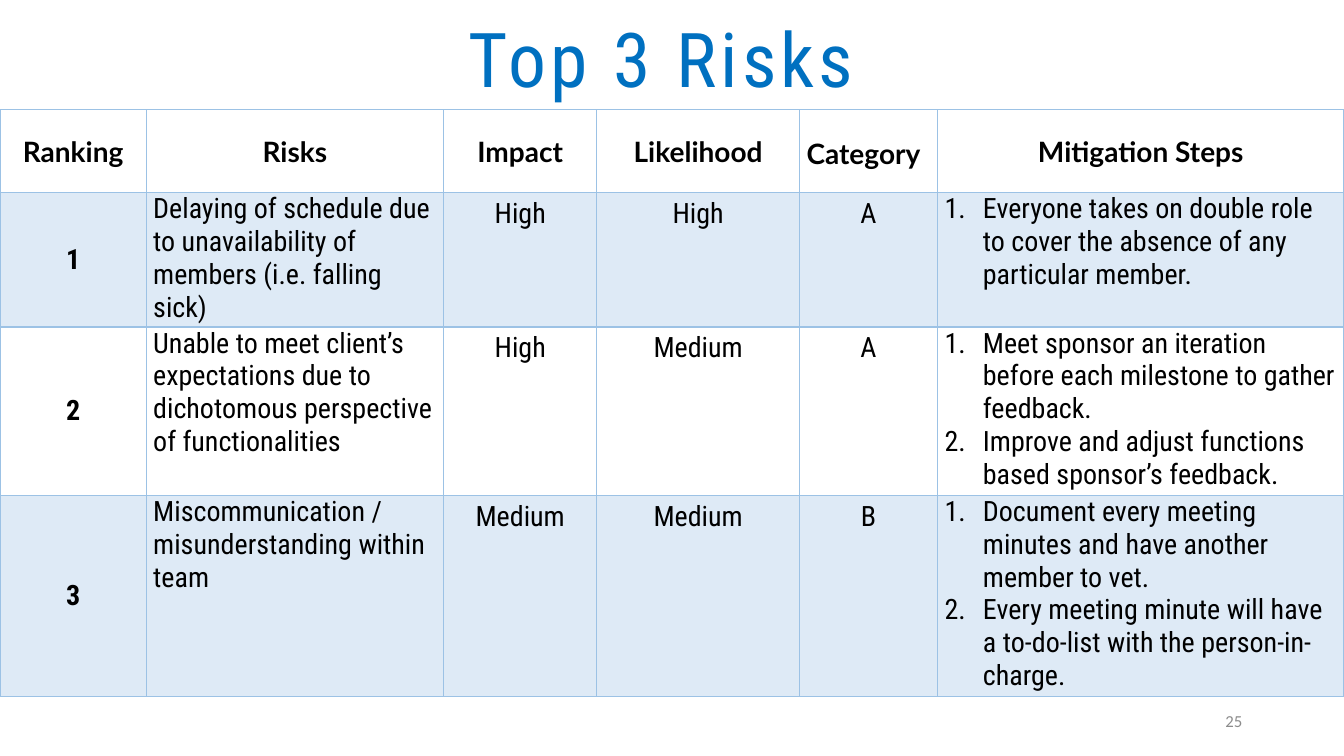
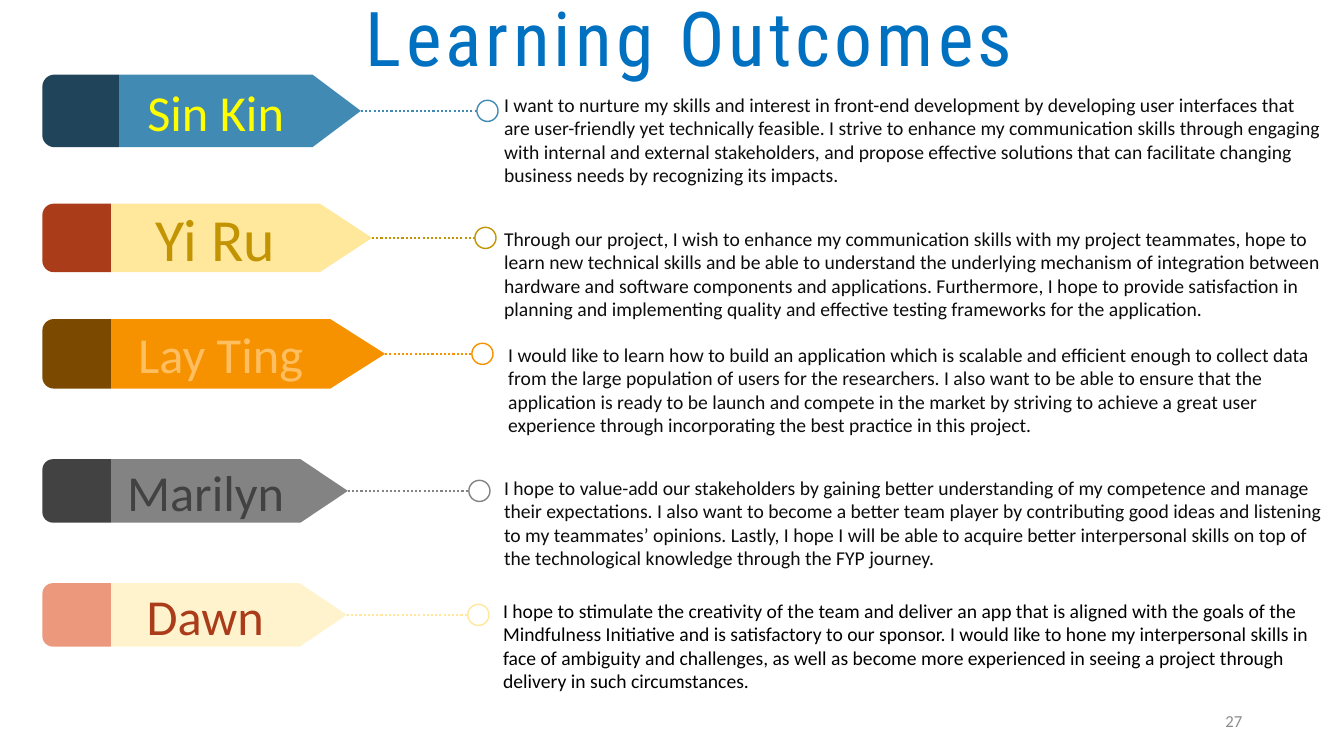
from dataclasses import dataclass
from typing import Optional

from lxml import etree
from pptx import Presentation
from pptx import util as u
from pptx.dml.color import RGBColor
from pptx.enum import dml, shapes, text
from pptx.oxml import ns

COLORS = {
    "title": "0070C0", "number": "8C8C8C", "black": "000000", "body": "0D0D0D",
    "white": "FFFFFF", "border": "9CC2E5", "band": "DEEAF6",
    "blue": "418AB3", "navy": "20455A", "yellow": "FFFF00",
    "sand": "FFE79B", "rust": "AB3C19", "gold": "C29401",
    "orange": "F69200", "brown": "7B4900", "apricot": "FFBF61",
    "grey": "838383", "charcoal": "424242", "cream": "FFF3CD", "salmon": "EC987D",
}
TITLE_FONT, HEAD_FONT, BODY_FONT = "Roboto Condensed", "Lato", "Calibri"
ALIGN, ANCHOR, SHAPE = text.PP_ALIGN, text.MSO_ANCHOR, shapes.MSO_SHAPE


# ---- Shared parts ----
@dataclass
class Style:
    size: float
    font: str
    color: str
    bold: bool = False
    align: ALIGN = ALIGN.LEFT
    spacing: Optional[float] = None
    tracking: Optional[int] = None


TITLE = Style(54, TITLE_FONT, "title", align=ALIGN.CENTER, spacing=0.9, tracking=300)
NUMBER = Style(12, BODY_FONT, "number", align=ALIGN.RIGHT)


def rgb(name: str) -> RGBColor:
    return RGBColor.from_string(COLORS[name])


def write(paragraph, words: str, style: Style) -> None:
    paragraph.alignment = style.align
    if style.spacing:
        paragraph.line_spacing = style.spacing
    run = paragraph.add_run()
    run.text = words
    run.font.size = u.Pt(style.size)
    run.font.name = style.font
    run.font.bold = style.bold
    run.font.color.rgb = rgb(style.color)
    if style.tracking:
        run.font._element.set("spc", str(style.tracking))


def add_label(slide, box: tuple, words: str, style: Style,
              anchor: ANCHOR = ANCHOR.TOP, inset: Optional[float] = None) -> None:
    frame = slide.shapes.add_textbox(*map(u.Inches, box)).text_frame
    frame.word_wrap = True
    frame.vertical_anchor = anchor
    if inset is not None:
        frame.margin_left = frame.margin_right = u.Inches(inset)
        frame.margin_top = frame.margin_bottom = u.Inches(inset)
    write(frame.paragraphs[0], words, style)


def add_page(deck, title: str, box: tuple, anchor: ANCHOR, number: int):
    slide = deck.slides.add_slide(deck.slide_layouts[6])
    add_label(slide, box, title, TITLE, anchor)
    add_label(slide, (9.42, 6.95, 3, 0.4), str(number), NUMBER, ANCHOR.MIDDLE)
    return slide


# ---- Risk table ----
@dataclass
class Risk:
    risk: str
    impact: str
    likelihood: str
    category: str
    steps: list[str]


HEADINGS = ["Ranking", "Risks", "Impact", "Likelihood", "Category", "Mitigation Steps"]
COLUMN_WIDTHS = [1.45, 2.95, 1.52, 2.01, 1.37, 4.03]
ROW_HEIGHTS = [0.82, 1.07, 1.42, 1.42]
RISKS = [
    Risk("Delaying of schedule due to unavailability of members (i.e. falling sick)",
         "High", "High", "A",
         ["Everyone takes on double role to cover the absence of any particular member."]),
    Risk("Unable to meet client’s expectations due to dichotomous perspective of functionalities",
         "High", "Medium", "A",
         ["Meet sponsor an iteration before each milestone to gather feedback.",
          "Improve and adjust functions based sponsor’s feedback."]),
    Risk("Miscommunication / misunderstanding within team",
         "Medium", "Medium", "B",
         ["Document every meeting minutes and have another member to vet.",
          "Every meeting minute will have a to-do-list with the person-in-charge."]),
]
HEADING = Style(20, HEAD_FONT, "black", True, ALIGN.CENTER)
CATEGORY_HEADING = Style(20, HEAD_FONT, "black", True, spacing=1.15)
RANK = Style(20, TITLE_FONT, "black", True, ALIGN.CENTER)
PROSE = Style(20, TITLE_FONT, "black")
RATING = Style(20, TITLE_FONT, "black", align=ALIGN.CENTER, spacing=1.15)


def add_borders(cell, top: float, bottom: float) -> None:
    properties = cell._tc.get_or_add_tcPr()
    for side, width in (("L", 1), ("R", 1), ("T", top), ("B", bottom)):
        edge = etree.SubElement(properties, ns.qn(f"a:ln{side}"), w=str(u.Pt(width)))
        fill = etree.SubElement(edge, ns.qn("a:solidFill"))
        etree.SubElement(fill, ns.qn("a:srgbClr"), val=COLORS["border"])


def number_paragraph(paragraph) -> None:
    properties = paragraph._p.get_or_add_pPr()
    properties.set("marL", str(u.Inches(0.38)))
    properties.set("indent", str(u.Inches(-0.38)))
    etree.SubElement(properties, ns.qn("a:buAutoNum"), type="arabicPeriod")


def fill_cell(cell, lines: list[str], style: Style, row: int,
              middle: bool, numbered: bool) -> None:
    add_borders(cell, 1.5 if row == 1 else 1, 1.5 if row == 0 else 1)
    cell.fill.solid()
    cell.fill.fore_color.rgb = rgb("band" if row % 2 else "white")
    cell.margin_left = cell.margin_right = u.Inches(0.07)
    cell.margin_top = cell.margin_bottom = 0
    cell.vertical_anchor = ANCHOR.MIDDLE if middle else ANCHOR.TOP
    frame = cell.text_frame
    for index, line in enumerate(lines):
        paragraph = frame.add_paragraph() if index else frame.paragraphs[0]
        if numbered:
            number_paragraph(paragraph)
        write(paragraph, line, style)


def add_risk_table(slide) -> None:
    table = slide.shapes.add_table(
        len(ROW_HEIGHTS), len(COLUMN_WIDTHS), 0, u.Inches(1.09),
        u.Inches(sum(COLUMN_WIDTHS)), u.Inches(sum(ROW_HEIGHTS))).table
    table.first_row = table.horz_banding = False
    for column, width in zip(table.columns, COLUMN_WIDTHS):
        column.width = u.Inches(width)
    for row, height in zip(table.rows, ROW_HEIGHTS):
        row.height = u.Inches(height)

    for column, heading in enumerate(HEADINGS):
        style = CATEGORY_HEADING if heading == "Category" else HEADING
        fill_cell(table.cell(0, column), [heading], style, 0, True, False)
    styles = [RANK, PROSE, RATING, RATING, RATING, PROSE]
    for rank, risk in enumerate(RISKS, 1):
        entries = [[str(rank)], [risk.risk], [risk.impact], [risk.likelihood],
                   [risk.category], risk.steps]
        for column, (lines, style) in enumerate(zip(entries, styles)):
            fill_cell(table.cell(rank, column), lines, style, rank,
                      column == 0, column == 5)


# ---- Learning outcomes ----
@dataclass
class Member:
    name: str
    outcome: str
    outcome_box: tuple
    middle: float
    height: float
    tip: float
    ring: float
    cap_color: str
    arrow_color: str
    name_color: str
    line_color: str
    joint: float = 1.1
    name_size: float = 36
    outcome_color: str = "body"


CAP_LEFT, RING_SIZE = 0.42, 0.21
MEMBERS = [
    Member("Sin Kin",
           "I want to nurture my skills and interest in front-end development by developing "
           "user interfaces that are user-friendly yet technically feasible. I strive to "
           "enhance my communication skills through engaging with internal and external "
           "stakeholders, and propose effective solutions that can facilitate changing "
           "business needs by recognizing its impacts.",
           (5, 0.92, 8.13, 0.94), 1.1, 0.72, 3.58, 4.73,
           "navy", "blue", "yellow", "blue", joint=1.18),
    Member("Yi Ru",
           "Through our project, I wish to enhance my communication skills with my project "
           "teammates, hope to learn new technical skills and be able to understand the "
           "underlying mechanism of integration between hardware and software components "
           "and applications. Furthermore, I hope to provide satisfaction in planning and "
           "implementing quality and effective testing frameworks for the application.",
           (5, 2.25, 8.27, 0.94), 2.36, 0.68, 3.69, 4.71,
           "rust", "sand", "gold", "gold", name_size=42.7),
    Member("Lay Ting",
           "I would like to learn how to build an application which is scalable and "
           "efficient enough to collect data from the large population of users for the "
           "researchers. I also want to be able to ensure that the application is ready to "
           "be launch and compete in the market by striving to achieve a great user "
           "experience through incorporating the best practice in this project.",
           (5.04, 3.4, 8.05, 0.94), 3.51, 0.69, 3.82, 4.68,
           "brown", "orange", "apricot", "orange"),
    Member("Marilyn",
           "I hope to value-add our stakeholders by gaining better understanding of my "
           "competence and manage their expectations. I also want to become a better team "
           "player by contributing good ideas and listening to my teammates’ opinions. "
           "Lastly, I hope I will be able to acquire better interpersonal skills on top of "
           "the technological knowledge through the FYP journey.",
           (5, 4.72, 8.13, 0.94), 4.87, 0.63, 3.45, 4.65,
           "charcoal", "grey", "charcoal", "grey"),
    Member("Dawn",
           "I hope to stimulate the creativity of the team and deliver an app that is "
           "aligned with the goals of the Mindfulness Initiative and is satisfactory to our "
           "sponsor. I would like to hone my interpersonal skills in face of ambiguity and "
           "challenges, as well as become more experienced in seeing a project through "
           "delivery in such circumstances.",
           (4.99, 5.94, 8.13, 0.94), 6.1, 0.63, 3.44, 4.64,
           "salmon", "cream", "rust", "sand", outcome_color="black"),
]


def add_block(slide, kind: SHAPE, box: tuple, fill: str):
    block = slide.shapes.add_shape(kind, *map(u.Inches, box))
    block.shadow.inherit = False
    block.fill.solid()
    block.fill.fore_color.rgb = rgb(fill)
    block.line.fill.background()
    return block


def add_turned(slide, kind: SHAPE, left: float, right: float, member: Member, fill: str):
    """Draw an upright shape turned to lie between left and right."""
    length = right - left
    box = ((left + right - member.height) / 2, member.middle - length / 2,
           member.height, length)
    block = add_block(slide, kind, box, fill)
    block.rotation = 270
    return block


def add_member(slide, member: Member) -> None:
    # Name tag
    arrow = add_turned(slide, SHAPE.FLOWCHART_OFFPAGE_CONNECTOR, member.joint,
                       member.tip, member, member.arrow_color)
    frame = arrow.text_frame
    frame.vertical_anchor = ANCHOR.MIDDLE
    frame._txBody.bodyPr.set("vert", "vert")
    write(frame.paragraphs[0], member.name,
          Style(member.name_size, BODY_FONT, member.name_color, align=ALIGN.CENTER))
    add_turned(slide, SHAPE.ROUND_2_SAME_RECTANGLE, CAP_LEFT, member.joint,
               member, member.cap_color)

    # Dotted lead and ring
    lead = slide.shapes.add_connector(
        shapes.MSO_CONNECTOR.STRAIGHT, u.Inches(member.tip), u.Inches(member.middle),
        u.Inches(member.ring), u.Inches(member.middle))
    lead.line.color.rgb = rgb(member.line_color)
    lead.line.width = u.Pt(1.5)
    lead.line.dash_style = dml.MSO_LINE.ROUND_DOT
    etree.SubElement(lead._element.spPr, ns.qn("a:effectLst"))
    ring = add_block(slide, SHAPE.OVAL, (member.ring, member.middle - RING_SIZE / 2,
                                         RING_SIZE, RING_SIZE), "white")
    ring.line.color.rgb = rgb(member.line_color)
    ring.line.width = u.Pt(1)

    # Outcome
    add_label(slide, member.outcome_box, member.outcome,
              Style(14, BODY_FONT, member.outcome_color), inset=0)


def main() -> None:
    deck = Presentation()
    deck.slide_width, deck.slide_height = u.Inches(13.33), u.Inches(7.5)
    risks = add_page(deck, "Top 3 Risks", (3.56, 0.17, 6, 0.78), ANCHOR.TOP, 25)
    add_risk_table(risks)
    outcomes = add_page(deck, "Learning Outcomes", (1.09, 0.3, 11.5, 0.24),
                        ANCHOR.MIDDLE, 27)
    for member in MEMBERS:
        add_member(outcomes, member)
    deck.save("out.pptx")


if __name__ == "__main__":
    main()
